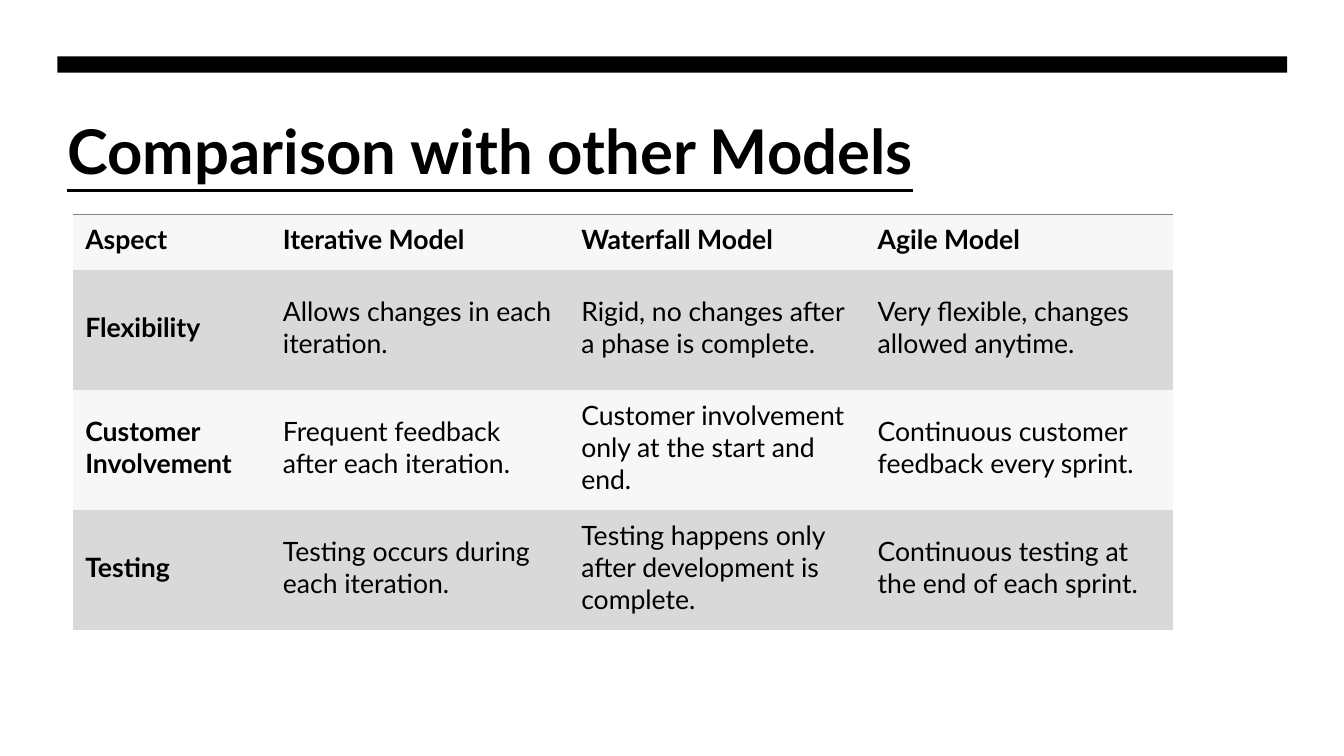
from dataclasses import dataclass

from lxml import etree
from pptx import Presentation
from pptx.dml.color import RGBColor
from pptx.enum.shapes import MSO_SHAPE
from pptx.enum.text import MSO_ANCHOR
from pptx.oxml.ns import qn
from pptx.slide import Slide
from pptx.table import _Cell
from pptx.text.text import TextFrame
from pptx.util import Cm, Pt

RECTANGLE = MSO_SHAPE.RECTANGLE
TOP = MSO_ANCHOR.TOP
MIDDLE = MSO_ANCHOR.MIDDLE

FONT = "Lato"
BLACK = "000000"
WHITE = "FFFFFF"
RULE_GREY = "808080"
BAND_FILLS = ("F7F7F7", "D9D9D9")
PLAIN_TABLE_STYLE = "{2D5ABB26-0587-4C30-8999-92F81FD0307C}"

MARGIN = 1.45
CONTENT_WIDTH = 30.99
TABLE_LEFT, TABLE_TOP = 1.85, 5.41
COLUMN_WIDTHS = (4.98, 7.52, 7.47, 7.75)
HEADER_HEIGHT, ASPECT_HEIGHT = 1.4, 3.02


@dataclass(frozen=True)
class AspectRow:
    aspect: str
    iterative: str
    waterfall: str
    agile: str

    def texts(self) -> tuple[str, ...]:
        return self.aspect, self.iterative, self.waterfall, self.agile


COMPARISON = (
    AspectRow("Aspect", "Iterative Model", "Waterfall Model", "Agile Model"),
    AspectRow(
        "Flexibility",
        "Allows changes in each iteration.",
        "Rigid, no changes after a phase is complete.",
        "Very flexible, changes allowed anytime.",
    ),
    AspectRow(
        "Customer Involvement",
        "Frequent feedback after each iteration.",
        "Customer involvement only at the start and end.",
        "Continuous customer feedback every sprint.",
    ),
    AspectRow(
        "Testing",
        "Testing occurs during each iteration.",
        "Testing happens only after development is complete.",
        "Continuous testing at the end of each sprint.",
    ),
)


def color(value: str) -> RGBColor:
    return RGBColor.from_string(value)


def write(frame: TextFrame, text: str, size: float, bold: bool) -> None:
    frame.text = text
    font = frame.paragraphs[0].runs[0].font
    font.name = FONT
    font.size = Pt(size)
    font.bold = bold
    font.color.rgb = color(BLACK)


def add_bar(slide: Slide) -> None:
    bar = slide.shapes.add_shape(
        RECTANGLE, Cm(MARGIN), Cm(1.42), Cm(CONTENT_WIDTH), Cm(0.41)
    )
    bar.shadow.inherit = False
    bar.fill.solid()
    bar.fill.fore_color.rgb = color(BLACK)
    bar.line.fill.background()


def add_title(slide: Slide) -> None:
    title = slide.shapes.add_textbox(
        Cm(MARGIN), Cm(2.72), Cm(CONTENT_WIDTH), Cm(4.06)
    ).text_frame
    title.word_wrap = True
    title.vertical_anchor = TOP
    write(title, "Comparison with other Models", 44, True)
    title.paragraphs[0].runs[0].font.underline = True


def add_top_rule(cell: _Cell) -> None:
    rule = etree.Element(qn("a:lnT"), w=str(Pt(1)))
    rule_fill = etree.SubElement(rule, qn("a:solidFill"))
    etree.SubElement(rule_fill, qn("a:srgbClr"), val=RULE_GREY)
    cell._tc.get_or_add_tcPr().insert(0, rule)


def fill_cell(cell: _Cell, text: str, bold: bool, background: str) -> None:
    cell.margin_left = cell.margin_right = cell.margin_bottom = Cm(0.3)
    cell.margin_top = Cm(0.15)
    cell.vertical_anchor = MIDDLE
    cell.fill.solid()
    cell.fill.fore_color.rgb = color(background)
    write(cell.text_frame, text, 19, bold)


def add_comparison(slide: Slide) -> None:
    heights = [HEADER_HEIGHT] + [ASPECT_HEIGHT] * (len(COMPARISON) - 1)
    comparison = slide.shapes.add_table(
        len(COMPARISON),
        len(COLUMN_WIDTHS),
        Cm(TABLE_LEFT),
        Cm(TABLE_TOP),
        Cm(sum(COLUMN_WIDTHS)),
        Cm(sum(heights)),
    ).table
    comparison.horz_banding = False
    comparison._tbl.tblPr.find(qn("a:tableStyleId")).text = PLAIN_TABLE_STYLE

    for column, width in zip(comparison.columns, COLUMN_WIDTHS):
        column.width = Cm(width)
    for row_index, (aspect_row, height) in enumerate(zip(COMPARISON, heights)):
        comparison.rows[row_index].height = Cm(height)
        background = BAND_FILLS[row_index % len(BAND_FILLS)]
        for column_index, text in enumerate(aspect_row.texts()):
            cell = comparison.cell(row_index, column_index)
            is_heading = row_index == 0 or column_index == 0
            fill_cell(cell, text, is_heading, background)
            if row_index == 0:
                add_top_rule(cell)


def main() -> None:
    presentation = Presentation()
    presentation.slide_width = Cm(33.87)
    presentation.slide_height = Cm(19.05)
    slide = presentation.slides.add_slide(presentation.slide_layouts[6])
    slide.background.fill.solid()
    slide.background.fill.fore_color.rgb = color(WHITE)
    add_title(slide)
    add_bar(slide)
    add_comparison(slide)
    presentation.save("out.pptx")


if __name__ == "__main__":
    main()
